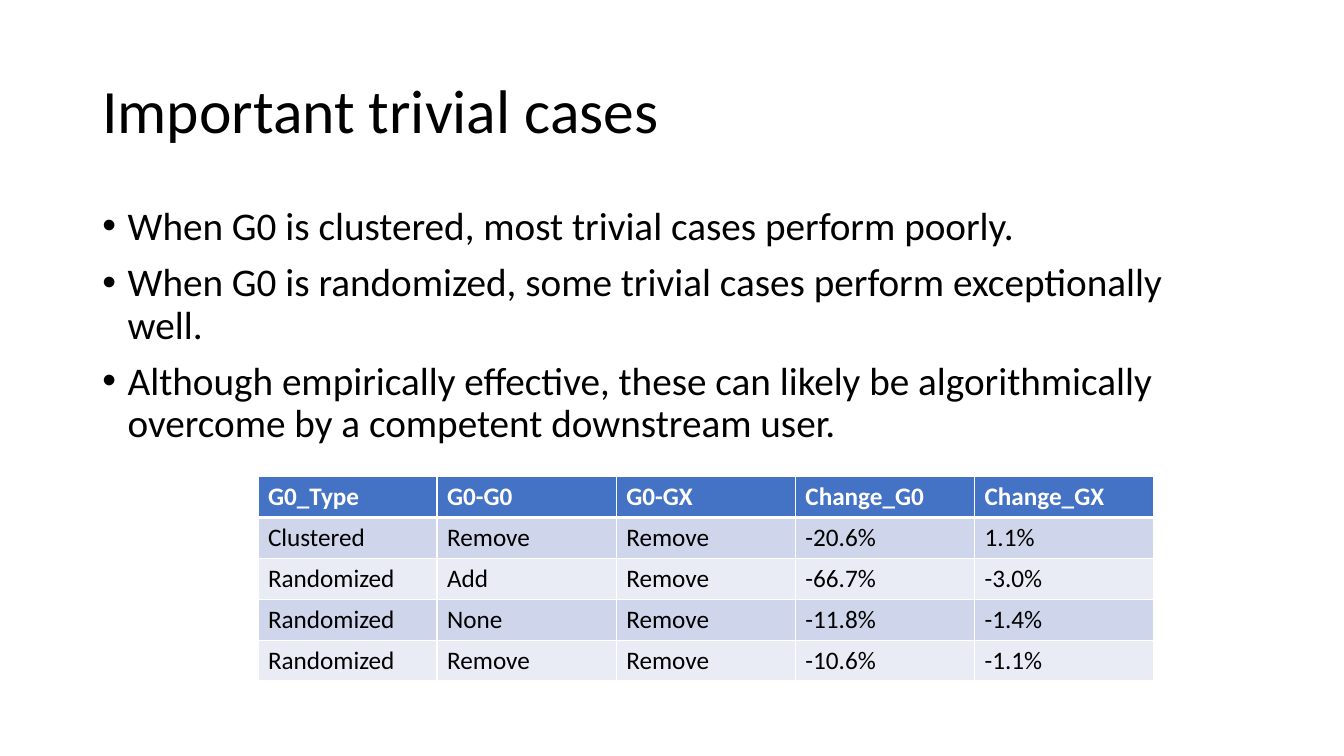
from lxml import etree
from pptx import Presentation
from pptx.dml.color import RGBColor
from pptx.enum.text import MSO_ANCHOR
from pptx.oxml.ns import qn
from pptx.util import Cm, Pt

MIDDLE, TOP = MSO_ANCHOR.MIDDLE, MSO_ANCHOR.TOP
FONT = "Calibri"
COLORS = {
    "text": "000000",
    "white": "FFFFFF",
    "head": "4472C4",
    "odd": "CFD5EA",
    "even": "E9EBF5",
}
TITLE = "Important trivial cases"
POINTS = [
    "When G0 is clustered, most trivial cases perform poorly.",
    "When G0 is randomized, some trivial cases perform exceptionally well.",
    "Although empirically effective, these can likely be algorithmically "
    "overcome by a competent downstream user.",
]
ROWS = [
    ["G0_Type", "G0-G0", "G0-GX", "Change_G0", "Change_GX"],
    ["Clustered", "Remove", "Remove", "-20.6%", "1.1%"],
    ["Randomized", "Add", "Remove", "-66.7%", "-3.0%"],
    ["Randomized", "None", "Remove", "-11.8%", "-1.4%"],
    ["Randomized", "Remove", "Remove", "-10.6%", "-1.1%"],
]


def color(name):
    return RGBColor.from_string(COLORS[name])


def style(para, size, tone="text", bold=False):
    font = para.font
    font.name, font.size, font.bold = FONT, Pt(size), bold
    font.color.rgb = color(tone)


def add_bullet(para):
    props = para._p.get_or_add_pPr()
    props.set("marL", str(Cm(0.64)))
    props.set("indent", str(-Cm(0.64)))
    # Bullet tags belong before the default run properties
    face = etree.Element(qn("a:buFont"), typeface="Arial")
    mark = etree.Element(qn("a:buChar"), char="•")
    base = props.find(qn("a:defRPr"))
    base.addprevious(face)
    base.addprevious(mark)


def add_text(slide, lines, top, height, size, anchor=TOP, bullets=False):
    box = slide.shapes.add_textbox(Cm(2.33), Cm(top), Cm(29.21), Cm(height))
    frame = box.text_frame
    frame.word_wrap = True
    frame.vertical_anchor = anchor
    frame.text = "\n".join(lines)
    for para in frame.paragraphs:
        style(para, size)
        para.line_spacing = 0.9
        if bullets:
            para.space_before = Pt(10)
            add_bullet(para)


def add_edges(cell, widths):
    props = cell._tc.get_or_add_tcPr()
    for side, width in widths.items():
        line = etree.SubElement(props, qn(f"a:ln{side}"), w=str(Pt(width)))
        fill = etree.SubElement(line, qn("a:solidFill"))
        etree.SubElement(fill, qn("a:srgbClr"), val=COLORS["white"])


def add_grid(slide, rows):
    frame = slide.shapes.add_table(
        len(rows), len(rows[0]), Cm(6.5), Cm(12.01), Cm(22.58), Cm(5.15))
    table = frame.table
    for r, row in enumerate(rows):
        head = r == 0
        band = "head" if head else "odd" if r % 2 else "even"
        edges = {"L": 1, "R": 1, "T": 3 if r == 1 else 1, "B": 3 if head else 1}
        for c, text in enumerate(row):
            cell = table.cell(r, c)
            cell.text = text
            style(cell.text_frame.paragraphs[0], 18,
                  "white" if head else "text", head)
            add_edges(cell, edges)
            cell.fill.solid()
            cell.fill.fore_color.rgb = color(band)


def main():
    deck = Presentation()
    deck.slide_width, deck.slide_height = Cm(33.87), Cm(19.05)
    slide = deck.slides.add_slide(deck.slide_layouts[6])

    # Title and key points
    add_text(slide, [TITLE], 1.01, 3.68, 44, MIDDLE)
    add_text(slide, POINTS, 5.08, 12.09, 28, bullets=True)

    # Results table
    add_grid(slide, ROWS)

    deck.save("out.pptx")


if __name__ == "__main__":
    main()
